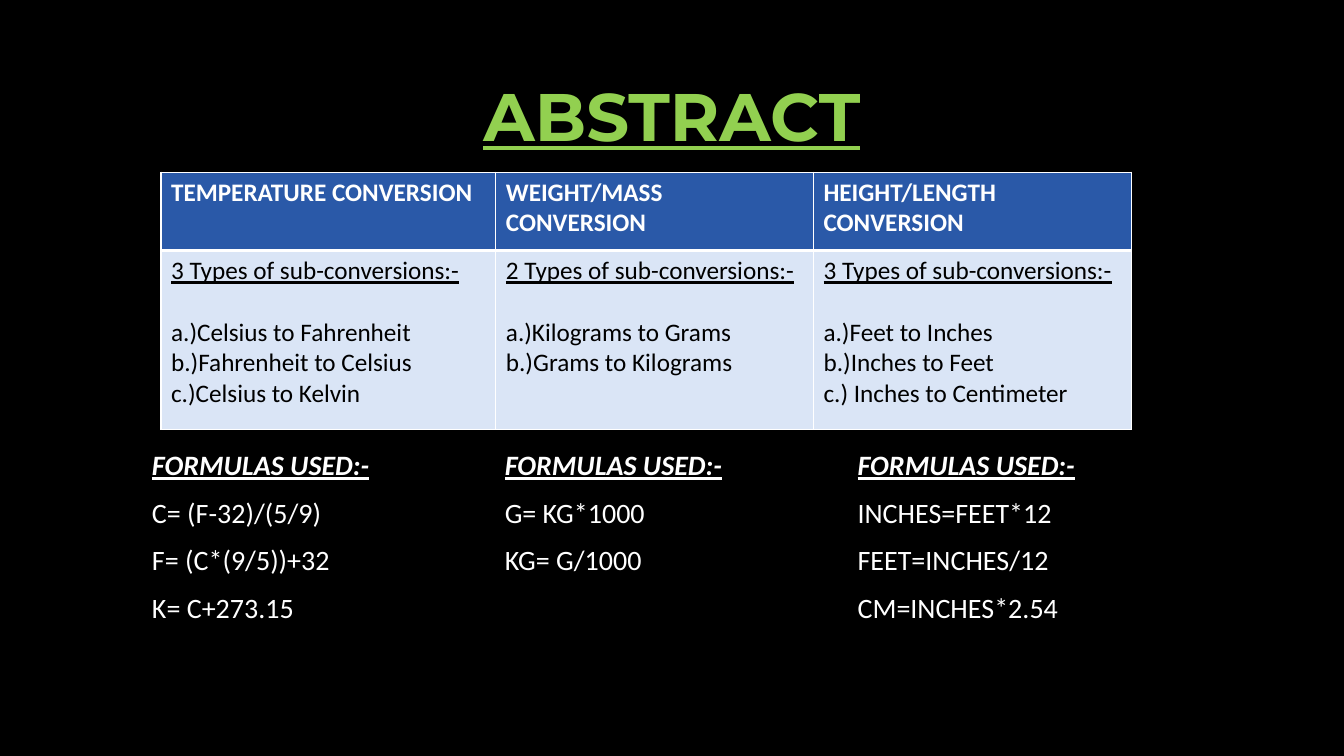
from dataclasses import dataclass

from lxml.etree import SubElement
from pptx import Presentation
from pptx.dml.color import RGBColor
from pptx.enum.text import MSO_ANCHOR as Anchor, PP_ALIGN as Align
from pptx.oxml.ns import qn
from pptx.util import Pt

COLORS = {
    "background": "000000",
    "title": "92D050",
    "header": "2A59A8",
    "body": "DAE5F6",
    "light": "FFFFFF",
    "dark": "000000",
}
FORMULA_HEADING = "FORMULAS USED:-"
FORMULA_PITCH = 252
THIN, THICK = 1, 3


@dataclass(frozen=True)
class Conversion:
    name: str
    width: float
    kinds: tuple[str, ...]
    formulas: tuple[str, ...]


CONVERSIONS = (
    Conversion(
        "TEMPERATURE CONVERSION", 239.2,
        ("a.)Celsius to Fahrenheit", "b.)Fahrenheit to Celsius", "c.)Celsius to Kelvin"),
        ("C= (F-32)/(5/9)", "F= (C*(9/5))+32", "K= C+273.15"),
    ),
    Conversion(
        "WEIGHT/MASS CONVERSION", 226.9,
        ("a.)Kilograms to Grams", "b.)Grams to Kilograms"),
        ("G= KG*1000", "KG= G/1000", ""),
    ),
    Conversion(
        "HEIGHT/LENGTH CONVERSION", 226.9,
        ("a.)Feet to Inches", "b.)Inches to Feet", "c.) Inches to Centimeter"),
        ("INCHES=FEET*12", "FEET=INCHES/12", "CM=INCHES*2.54"),
    ),
)


def color(name: str) -> RGBColor:
    return RGBColor.from_string(COLORS[name])


def set_font(font, size: float, color_name: str, name: str = "Calibri",
             bold: bool = False, underline: bool = False) -> None:
    font.name = name
    font.size = Pt(size)
    font.bold = bold
    font.underline = underline
    font.color.rgb = color(color_name)


def add_text_frame(slide, left: float, top: float, width: float, height: float, anchor):
    box = slide.shapes.add_textbox(Pt(left), Pt(top), Pt(width), Pt(height))
    frame = box.text_frame
    frame.word_wrap = True
    frame.vertical_anchor = anchor
    return frame


def add_paragraph(frame, index: int):
    return frame.add_paragraph() if index else frame.paragraphs[0]


def set_tab_stops(paragraph) -> None:
    tabs = SubElement(paragraph._p.get_or_add_pPr(), qn("a:tabLst"))
    for column in range(1, len(CONVERSIONS)):
        SubElement(tabs, qn("a:tab"), pos=str(Pt(FORMULA_PITCH * column)), algn="l")


def style_cell(cell, fill: str, top: float, bottom: float) -> None:
    properties = cell._tc.get_or_add_tcPr()
    for side, width in (("L", THIN), ("R", THIN), ("T", top), ("B", bottom)):
        line = SubElement(properties, qn(f"a:ln{side}"), w=str(Pt(width)))
        line_fill = SubElement(line, qn("a:solidFill"))
        SubElement(line_fill, qn("a:srgbClr"), val=COLORS["light"])
    cell.fill.solid()
    cell.fill.fore_color.rgb = color(fill)


def add_title(slide) -> None:
    frame = add_text_frame(slide, 120, 49, 720, 66, Anchor.BOTTOM)
    paragraph = frame.paragraphs[0]
    paragraph.text = "ABSTRACT"
    paragraph.alignment = Align.CENTER
    paragraph.line_spacing = 0.9
    set_font(paragraph.font, 48, "title", "Montserrat", bold=True, underline=True)


def add_conversion_table(slide) -> None:
    width = sum(conversion.width for conversion in CONVERSIONS)
    table = slide.shapes.add_table(
        2, len(CONVERSIONS), Pt(115), Pt(123), Pt(width), Pt(184)).table
    table.rows[0].height = Pt(56)
    table.rows[1].height = Pt(128)
    for column, conversion in enumerate(CONVERSIONS):
        table.columns[column].width = Pt(conversion.width)

        header = table.cell(0, column)
        style_cell(header, "header", THIN, THICK)
        header.text = conversion.name
        set_font(header.text_frame.paragraphs[0].font, 18, "light", bold=True)

        body = table.cell(1, column)
        style_cell(body, "body", THICK, THIN)
        heading = f"{len(conversion.kinds)} Types of sub-conversions:-"
        for index, text in enumerate((heading, *conversion.kinds)):
            paragraph = add_paragraph(body.text_frame, index)
            paragraph.text = text
            paragraph.space_after = Pt(0 if index else 22)
            set_font(paragraph.font, 18, "dark", underline=index == 0)


def add_formulas(slide) -> None:
    frame = add_text_frame(slide, 101.5, 316, 720, 193, Anchor.TOP)
    headings = (FORMULA_HEADING,) * len(CONVERSIONS)
    rows = (headings, *zip(*(conversion.formulas for conversion in CONVERSIONS)))
    for index, row in enumerate(rows):
        paragraph = add_paragraph(frame, index)
        paragraph.space_after = Pt(10)
        set_tab_stops(paragraph)
        set_font(paragraph.font, 20, "light")
        for column, text in enumerate(row):
            if column:
                paragraph.add_run().text = "\t"
            if text:
                run = paragraph.add_run()
                run.text = text
                if index == 0:
                    run.font.bold = run.font.italic = run.font.underline = True


def main() -> None:
    presentation = Presentation()
    presentation.slide_width = Pt(960)
    presentation.slide_height = Pt(540)
    slide = presentation.slides.add_slide(presentation.slide_layouts[6])
    slide.background.fill.solid()
    slide.background.fill.fore_color.rgb = color("background")
    add_title(slide)
    add_formulas(slide)
    add_conversion_table(slide)
    presentation.save("out.pptx")


main()
